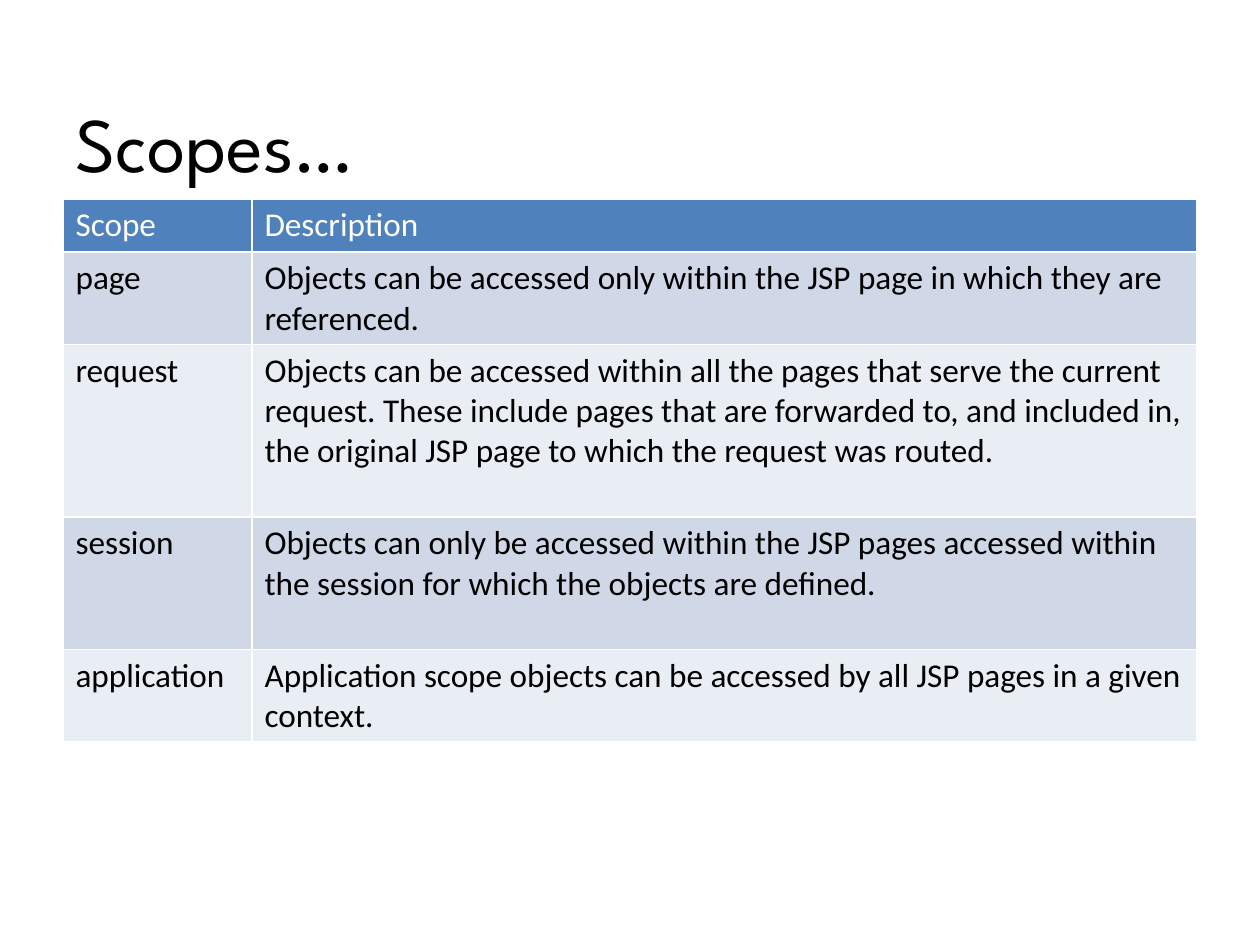
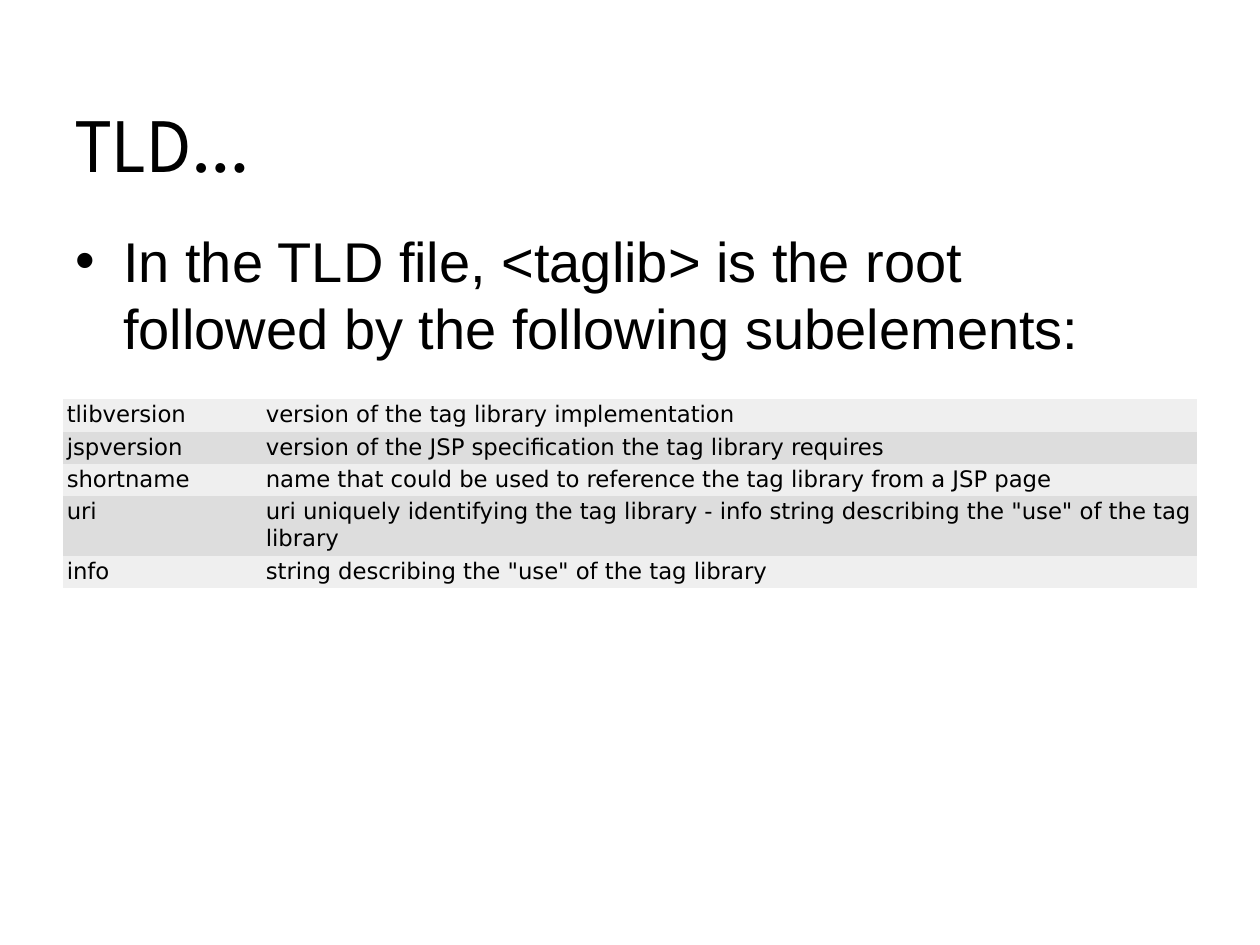
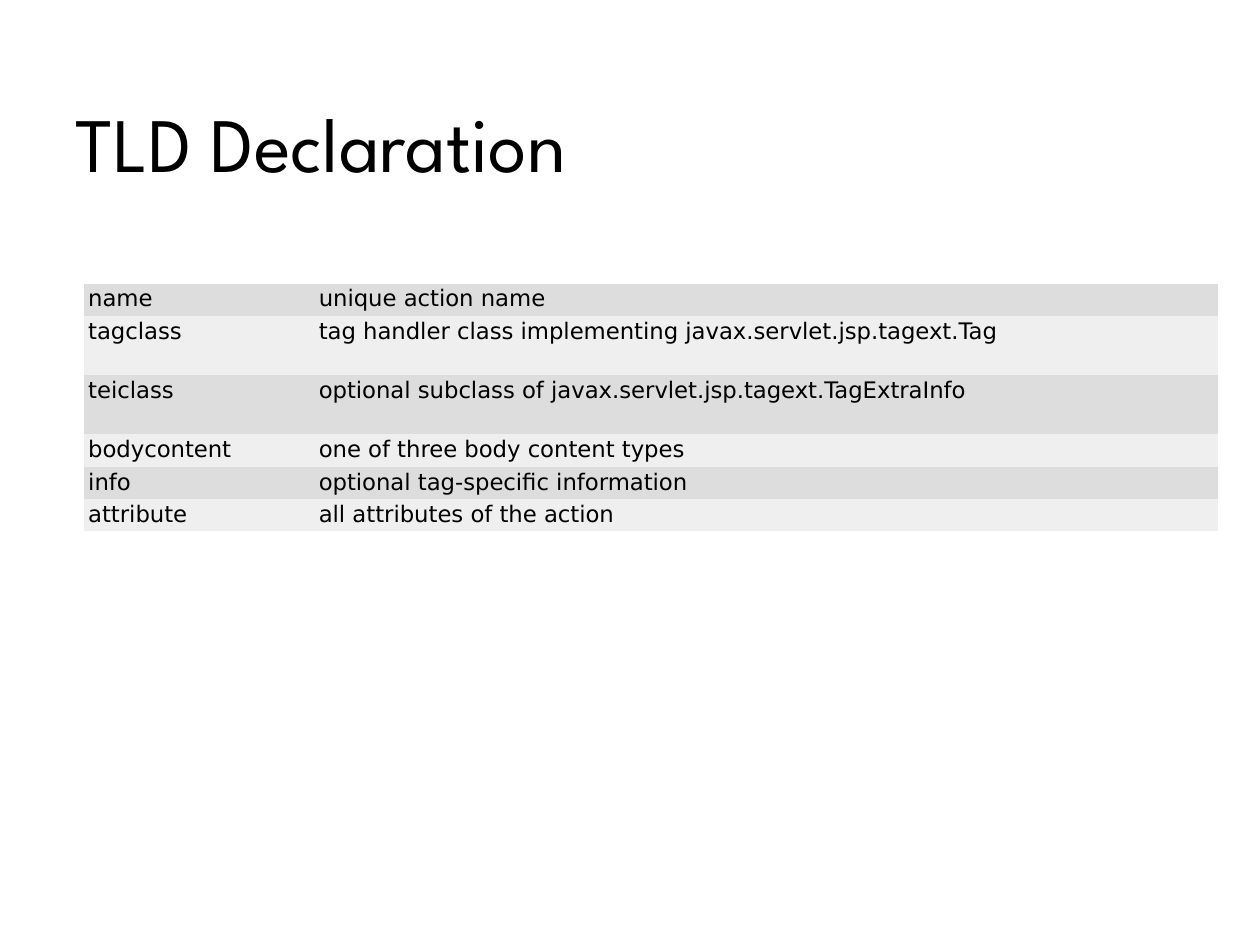
import pptx
import pptx.util
import pptx.dml.color
import pptx.enum.text
import pptx.oxml
import pptx.oxml.ns

Inches = pptx.util.Inches
Pt = pptx.util.Pt
RGBColor = pptx.dml.color.RGBColor

BLACK = RGBColor(0x00, 0x00, 0x00)
WHITE = RGBColor(0xFF, 0xFF, 0xFF)
BLUE = RGBColor(0x4F, 0x81, 0xBD)
MIST = RGBColor(0xD0, 0xD8, 0xE8)
PALE = RGBColor(0xE9, 0xED, 0xF4)
GRAY = RGBColor(0xDD, 0xDD, 0xDD)
LIGHT = RGBColor(0xEF, 0xEF, 0xEF)
PLAIN = "{2D5ABB26-0587-4C30-8999-92F81FD0307C}"

scopes = [
    ("Scope", "Description", 0.42),
    ("page", "Objects can be accessed only within the JSP page in which they are referenced.", 0.73),
    ("request", "Objects can be accessed within all the pages that serve the current request. "
     "These include pages that are forwarded to, and included in, "
     "the original JSP page to which the request was routed.", 1.37),
    ("session", "Objects can only be accessed within the JSP pages accessed within "
     "the session for which the objects are defined.", 1.05),
    ("application", "Application scope objects can be accessed by all JSP pages in a given context.", 0.73),
]
parts = [
    ("tlibversion", "version of the tag library implementation", 0.25),
    ("jspversion", "version of the JSP specification the tag library requires", 0.25),
    ("shortname", "name that could be used to reference the tag library from a JSP page", 0.25),
    ("uri", 'uri uniquely identifying the tag library - info string describing the "use" of the tag library', 0.47),
    ("info", 'string describing the "use" of the tag library', 0.25),
]
fields = [
    ("name", "unique action name", 0.25),
    ("tagclass", "tag handler class implementing javax.servlet.jsp.tagext.Tag", 0.47),
    ("teiclass", "optional subclass of javax.servlet.jsp.tagext.TagExtraInfo", 0.47),
    ("bodycontent", "one of three body content types", 0.25),
    ("info", "optional tag-specific information", 0.25),
    ("attribute", "all attributes of the action", 0.25),
]


def add_run(para, text, font, size, color=BLACK):
    run = para.add_run()
    run.text = text
    run.font.name = font
    run.font.size = Pt(size)
    run.font.color.rgb = color


def add_grid(slide, rows, left, top, split, fills, font, size, head=False):
    height = sum(row[2] for row in rows)
    frame = slide.shapes.add_table(len(rows), 2, Inches(left), Inches(top), Inches(9), Inches(height))
    table = frame.table
    table.first_row = table.horz_banding = False
    frame._element.find(".//" + pptx.oxml.ns.qn("a:tableStyleId")).text = PLAIN
    table.columns[0].width = Inches(split)
    table.columns[1].width = Inches(9 - split)
    for i, (name, note, tall) in enumerate(rows):
        table.rows[i].height = Inches(tall)
        top_row = head and i == 0
        for j, text in enumerate((name, note)):
            cell = table.cell(i, j)
            if head:
                props = cell._tc.get_or_add_tcPr()
                for side in "LRTB":
                    props.append(pptx.oxml.parse_xml(
                        f'<a:ln{side} {pptx.oxml.ns.nsdecls("a")} w="12700"><a:solidFill>'
                        f'<a:srgbClr val="{WHITE}"/></a:solidFill></a:ln{side}>'))
            else:
                cell.margin_left = cell.margin_right = Inches(0.03)
                cell.margin_top = cell.margin_bottom = Inches(0.02)
            cell.fill.solid()
            cell.fill.fore_color.rgb = BLUE if top_row else fills[i % 2]
            add_run(cell.text_frame.paragraphs[0], text, font, size, WHITE if top_row else BLACK)


deck = pptx.Presentation()
deck.slide_width = Inches(10)
deck.slide_height = Inches(7.5)

slides = []
for title in ("Scopes…", "TLD…", "TLD Declaration"):
    slide = deck.slides.add_slide(deck.slide_layouts[6])
    frame = slide.shapes.add_textbox(Inches(0.5), Inches(0.5), Inches(9), Inches(1.25)).text_frame
    frame.word_wrap = True
    frame.vertical_anchor = pptx.enum.text.MSO_ANCHOR.MIDDLE
    add_run(frame.paragraphs[0], title, "League Spartan", 44)
    slides.append(slide)

add_grid(slides[0], scopes, 0.5, 1.58, 1.5, (PALE, MIST), "Calibri", 19, head=True)

body = slides[1].shapes.add_textbox(Inches(0.5), Inches(1.75), Inches(9), Inches(4.95)).text_frame
body.word_wrap = True
para = body.paragraphs[0]
para.space_before = Pt(6.4)
props = para._p.get_or_add_pPr()
props.set("marL", str(Inches(0.38)))
props.set("indent", str(Inches(-0.38)))
props.append(pptx.oxml.parse_xml(f'<a:buFont {pptx.oxml.ns.nsdecls("a")} typeface="Arial"/>'))
props.append(pptx.oxml.parse_xml(f'<a:buChar {pptx.oxml.ns.nsdecls("a")} char="•"/>'))
add_run(para, "In the TLD file, <taglib> is the root followed by the following subelements:", "Arial", 32)
add_grid(slides[1], parts, 0.5, 3.17, 1.58, (LIGHT, GRAY), "DejaVu Sans", 13)

add_grid(slides[2], fields, 0.67, 2.25, 1.83, (GRAY, LIGHT), "DejaVu Sans", 13)

deck.save("out.pptx")
